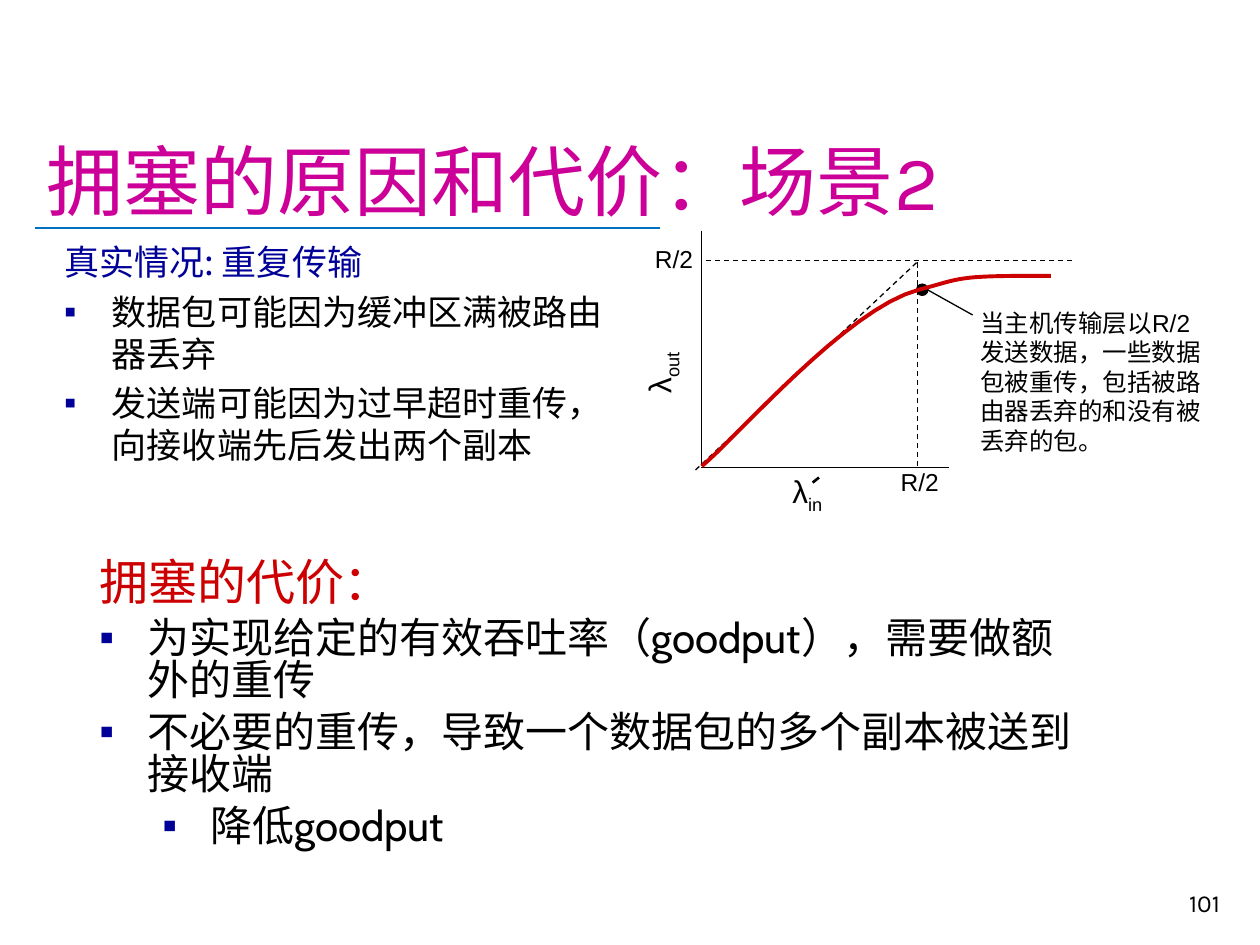
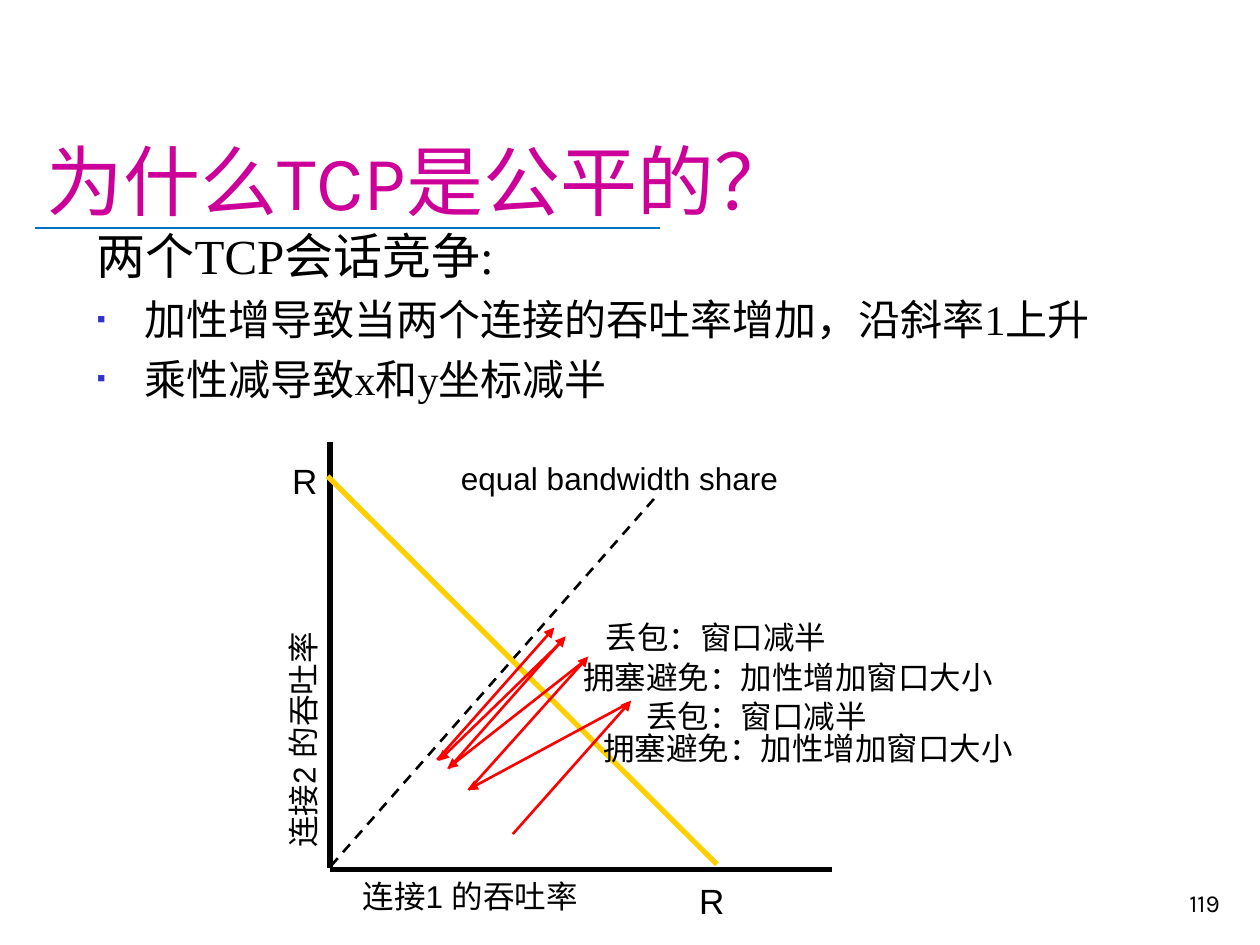
from lxml import etree
from pptx import Presentation
from pptx import util as u
from pptx.dml.color import RGBColor
from pptx.enum import dml, shapes, text
from pptx.oxml import ns

# Shared look
BLACK, NAVY, RED, HOT = "000000", "000099", "CC0000", "FF0000"
PINK, BLUE, GOLD, MARK = "CC0099", "0070C0", "FFCF01", "3333CC"
SANS, HEAD, CJK = "Arial", "Karla", "Noto Sans CJK SC"

prs = Presentation()
prs.slide_width, prs.slide_height = u.Inches(10), u.Inches(7.5)
UNIT = prs.slide_width / 10  # grid of 10 columns by 7.5 rows


def grid(*vals):
    return [round(v * UNIT) for v in vals]


def color(code):
    return RGBColor.from_string(code)


def sub(parent, tag, **attrs):
    return etree.SubElement(parent, ns.qn(tag), attrs)


# Text
def bullet(par, code, size):
    props = par._p.get_or_add_pPr()
    sub(sub(props, "a:buClr"), "a:srgbClr", val=code)
    sub(props, "a:buSzPct", val=str(size * 1000))
    sub(props, "a:buFont", typeface=SANS)
    sub(props, "a:buChar", char="▪")


def add_run(par, words, font=SANS, east=None, size=18, fill=BLACK, base=0):
    run = par.add_run()
    run.text = words
    run.font.name, run.font.size = font, u.Pt(size)
    run.font.color.rgb = color(fill)
    props = run._r.get_or_add_rPr()
    sub(props, "a:ea", typeface=east or font)
    if base:
        props.set("baseline", str(base * 1000))


def write(par, words, lead=0, before=0, hang=None, mark=None, mark_size=100,
          align=None, low="", **face):
    """Fill a paragraph; lead is line height and low is a subscript."""
    if mark:
        bullet(par, mark, mark_size)
    if hang is not None:
        props = par._p.get_or_add_pPr()
        left, first = grid(hang, -0.38)
        props.set("marL", str(left))
        props.set("indent", str(first))
    if lead:
        par.line_spacing = u.Pt(lead)
    par.space_before = u.Pt(before)
    par.alignment = align
    add_run(par, words, **face)
    if low:
        add_run(par, low, **face, base=-25)


def box(slide, x, y, w, h, wrap=True, turn=0, anchor=text.MSO_ANCHOR.TOP):
    shape = slide.shapes.add_textbox(*grid(x, y, w, h))
    shape.rotation = turn
    frame = shape.text_frame
    frame.word_wrap, frame.vertical_anchor = wrap, anchor
    return frame


def label(slide, words, x, y, w, h=0.4, wrap=True, turn=0, **form):
    write(box(slide, x, y, w, h, wrap, turn).paragraphs[0], words, **form)


def body(slide, x, y, w, h, items, **common):
    frame = box(slide, x, y, w, h)
    for i, (words, form) in enumerate(items):
        par = frame.add_paragraph() if i else frame.paragraphs[0]
        form = {"hang": 0.38, **common, **form}
        ratio = form.pop("ratio")
        write(par, words, lead=form["size"] * ratio,
              before=form["size"] * 0.22 if i else 0, **form)


# Lines
def line(slide, start, end, fill=BLACK, width=0.75, dash=False, arrow=None):
    edge = slide.shapes.add_connector(
        shapes.MSO_CONNECTOR.STRAIGHT, *grid(*start, *end))
    edge.line.color.rgb, edge.line.width = color(fill), u.Pt(width)
    if dash:
        edge.line.dash_style = dml.MSO_LINE.DASH
    if arrow:
        sub(edge.line._get_or_add_ln(), "a:tailEnd",
            type="triangle", w=arrow, len=arrow)
    sub(edge._element.spPr, "a:effectLst")


def bezier(a, b, c, d, steps=16):
    for i in range(1, steps + 1):
        t = i / steps
        s = 1 - t
        yield grid(*(s**3 * p + 3 * s * s * t * q + 3 * s * t * t * r + t**3 * e
                     for p, q, r, e in zip(a, b, c, d)))


def curve(slide, start, parts, fill, width):
    pen = slide.shapes.build_freeform(*grid(*start))
    for part in parts:
        pen.add_line_segments(list(bezier(start, *part)), close=False)
        start = part[-1]
    shape = pen.convert_to_shape()
    shape.shadow.inherit = False
    shape.fill.background()
    shape.line.color.rgb, shape.line.width = color(fill), u.Pt(width)


def dot(slide, x, y, size):
    shape = slide.shapes.add_shape(
        shapes.MSO_SHAPE.OVAL, *grid(x, y, size, size))
    shape.shadow.inherit = False
    shape.fill.solid()
    shape.fill.fore_color.rgb = color(BLACK)
    shape.line.fill.background()


# Title, rule and page number
def page(name, number):
    slide = prs.slides.add_slide(prs.slide_layouts[5])
    line(slide, (0.28, 1.81), (5.24, 1.81), BLUE, 1.25)
    title = slide.shapes.title
    title.left, title.top, title.width, title.height = grid(
        0.27, 0.24, 9.51, 1.6)
    frame = title.text_frame
    frame.auto_size = text.MSO_AUTO_SIZE.NONE
    frame.vertical_anchor = text.MSO_ANCHOR.BOTTOM
    write(frame.paragraphs[0], name, align=text.PP_ALIGN.LEFT,
          font=HEAD, size=44, fill=PINK)
    foot = box(slide, 7.7, 6.83, 2.08, 0.5, anchor=text.MSO_ANCHOR.BOTTOM)
    write(foot.paragraphs[0], number, align=text.PP_ALIGN.RIGHT,
          font=HEAD, size=14)
    return slide


def cost():
    slide = page("拥塞的原因和代价：场景2", "101")
    # Axes and limits
    line(slide, (5.57, 1.83), (5.57, 3.7))
    line(slide, (7.53, 3.71), (5.56, 3.71))
    for start, end in [((8.51, 2.07), (5.56, 2.07)),
                       ((5.52, 3.73), (7.29, 2.07)),
                       ((7.28, 3.7), (7.28, 2.08))]:
        line(slide, start, end, dash=True)
    for x, y in [(5.1, 1.89), (7.05, 3.66)]:
        label(slide, "R/2", x, y, 0.5, 0.33, wrap=False, size=14)
    label(slide, "λ", 6.19, 3.7, 0.47, wrap=False, low="in")
    line(slide, (6.45, 3.83), (6.5, 3.79), width=1.5)
    label(slide, "λ", 4.89, 2.68, 0.68, turn=270, low="out")

    # Throughput curve and its note
    dot(slide, 7.27, 2.25, 0.1)
    label(slide, "当主机传输层以R/2发送数据，一些数据包被重传，"
          "包括被路由器丢弃的和没有被丢弃的包。",
          7.68, 2.39, 2.06, 1.28, size=14, lead=16.9)
    line(slide, (7.72, 2.5), (7.29, 2.26), arrow="sm")
    curve(slide, (5.57, 3.7), [
        [(5.85, 3.47), (6.72, 2.45), (7.29, 2.3)],
        [(7.6, 2.22), (7.58, 2.19), (8.11, 2.19)],
        [(8.34, 2.19), (8.29, 2.19), (8.34, 2.19)]], RED, 2.25)

    # Causes and costs
    item = {"mark": NAVY}
    body(slide, 0.41, 1.86, 4.71, 1.84, [
        ("真实情况: 重复传输", {"fill": NAVY}),
        ("数据包可能因为缓冲区满被路由器丢弃", item),
        ("发送端可能因为过早超时重传，向接收端先后发出两个副本", item),
    ], font=CJK, size=20, ratio=1.2)
    body(slide, 0.69, 4.4, 7.94, 1.08, [
        ("拥塞的代价：", {"size": 28, "fill": RED}),
        ("为实现给定的有效吞吐率（goodput），需要做额外的重传", item),
        ("不必要的重传，导致一个数据包的多个副本被送到接收端", item),
        ("降低goodput", {**item, "hang": 0.88}),
    ], font="Cabin", size=24, ratio=1.01)


def fair():
    slide = page("为什么TCP是公平的？", "119")
    item = {"mark": MARK, "mark_size": 60}
    body(slide, 0.67, 1.74, 9.08, 5.08, [
        ("两个TCP会话竞争:", {"size": 28}),
        ("加性增导致当两个连接的吞吐率增加，沿斜率1上升", item),
        ("乘性减导致x和y坐标减半", item),
    ], font="Times New Roman", east=CJK, size=24, ratio=1.2)

    # Axes, equal share and full capacity
    line(slide, (2.62, 6.9), (6.6, 6.9), width=3)
    line(slide, (2.62, 6.89), (2.62, 3.51), width=3)
    line(slide, (5.19, 3.96), (2.62, 6.88), width=1.5, dash=True)
    line(slide, (2.6, 3.78), (5.69, 6.86), GOLD, 3)
    for x, y in [(2.22, 3.6), (5.45, 6.93)]:
        label(slide, "R", x, y, 0.44, 0.43, size=20)
    label(slide, "equal bandwidth share", 3.56, 3.59, 3.88)
    label(slide, "连接1 的吞吐率", 2.78, 6.91, 3.88)
    label(slide, "连接2 的吞吐率", 0.86, 5.08, 3.09, turn=270)

    # Window grows, then halves
    for start, end in [
            ((4.07, 6.62), (5.01, 5.56)), ((4.99, 5.58), (3.71, 6.27)),
            ((3.72, 6.27), (4.67, 5.21)), ((4.62, 5.26), (3.55, 6.1)),
            ((3.56, 6.1), (4.49, 5.05)), ((4.48, 5.07), (3.48, 6.04)),
            ((3.47, 6.03), (4.4, 4.98))]:
        line(slide, start, end, HOT, 1.5, arrow="med")
    for x, y in [(4.53, 5.17), (4.69, 5.74)]:
        label(slide, "拥塞避免：加性增加窗口大小", x, y, 3.95)
    for x, y in [(4.71, 4.86), (5.03, 5.48)]:
        label(slide, "丢包：窗口减半", x, y, 1.97, wrap=False)


def main():
    cost()
    fair()
    prs.save("out.pptx")


if __name__ == "__main__":
    main()
